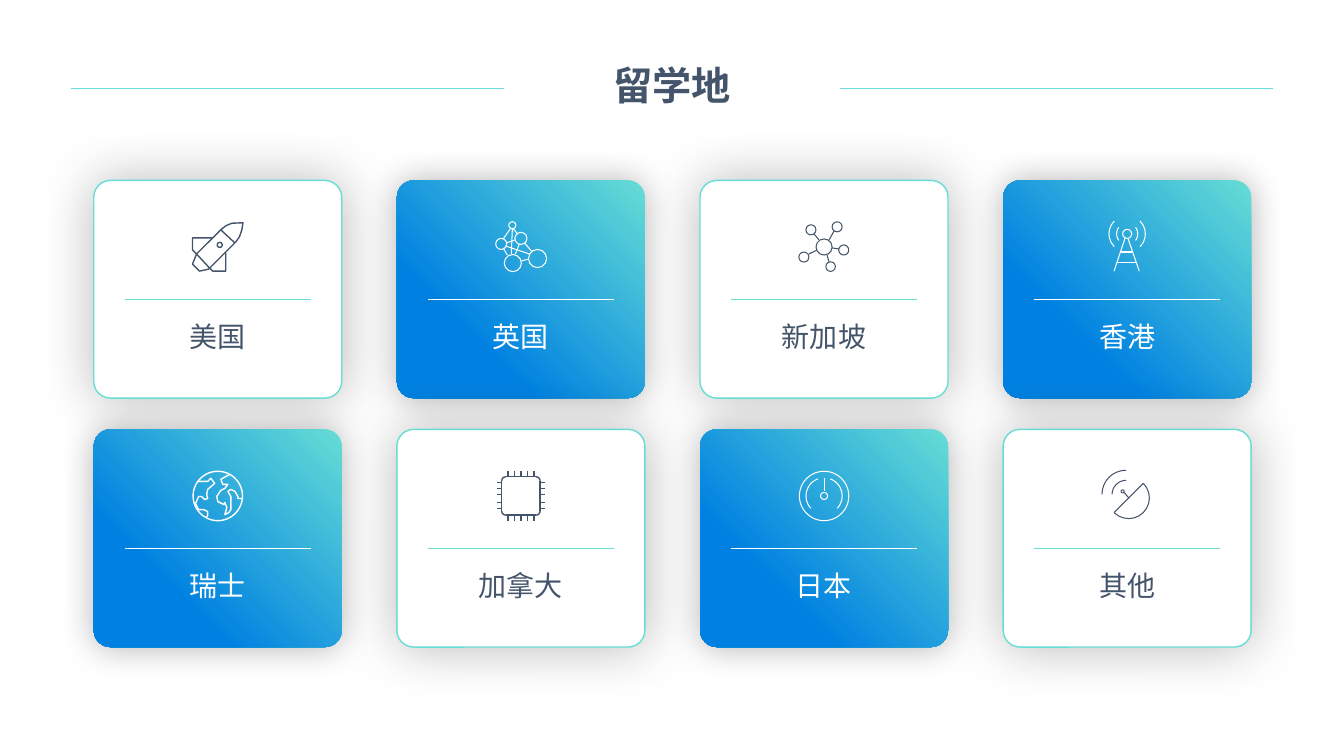
"""Build a slide of eight study destinations as a grid of icon cards."""
from math import cos, radians, sin

from lxml import etree
from pptx import Presentation
from pptx.dml.color import RGBColor
from pptx.enum.shapes import MSO_CONNECTOR, MSO_SHAPE
from pptx.enum.text import MSO_ANCHOR, MSO_AUTO_SIZE, PP_ALIGN
from pptx.oxml.ns import qn
from pptx.util import Inches, Pt

STRAIGHT = MSO_CONNECTOR.STRAIGHT
ROUNDED = MSO_SHAPE.ROUNDED_RECTANGLE
MIDDLE = MSO_ANCHOR.MIDDLE
GROW = MSO_AUTO_SIZE.SHAPE_TO_FIT_TEXT
CENTER = PP_ALIGN.CENTER

TEAL = RGBColor(0x66, 0xDD, 0xD5)
BLUE = RGBColor(0x00, 0x81, 0xE1)
SLATE = RGBColor(0x44, 0x54, 0x6A)
WHITE = RGBColor(0xFF, 0xFF, 0xFF)
FONT = "Noto Sans CJK SC"

COLUMNS = 4
GRID_LEFT, GRID_TOP = 0.93, 1.79
COLUMN_STEP = (9.95 - GRID_LEFT) / (COLUMNS - 1)
ROW_STEP = 2.47
CARD_WIDTH, CARD_HEIGHT = 2.46, 2.16
ICON_UNIT = Inches(0.01)
ARC_PIECES = 4


def arc(x, y, radius, start=0, end=360):
    """Return an arc's points, radius, start and sweep per piece, in clockwise degrees."""
    sweep = (end - start) / ARC_PIECES
    angles = [radians(start + sweep * piece) for piece in range(ARC_PIECES + 1)]
    points = [(x + radius * cos(angle), y + radius * sin(angle)) for angle in angles]
    return points, radius, start, sweep


def write(shape, text, size, color, bold=False):
    """Write one centred line of text in a text box or placeholder."""
    frame = shape.text_frame
    frame.word_wrap = True
    frame.auto_size = GROW
    frame.vertical_anchor = MIDDLE
    paragraph = frame.paragraphs[0]
    paragraph.alignment = CENTER
    run = paragraph.add_run()
    run.text = text
    run.font.size = Pt(size)
    run.font.bold = bold
    run.font.name = FONT
    run.font.color.rgb = color
    etree.SubElement(run.font._element, qn("a:ea"), typeface=FONT)


rocket = [
    [(25, -24), (24, -17), (21.5, -10), (18, -5), (-9, 22), (-18, 24), (-25, 17),
     (-21, 7), (3, -17), (8, -21), (14, -23.5), (25, -24)],
    [(3, -17), (17, -4)],
    [(-5, -9), (-25, -9), (-25, 3), (-21, 7), (-8, 21), (-5, 24), (8, 24), (8, 6)],
    arc(2, -2, 2.5),
]
molecule = [
    arc(-8.5, -21.5, 3.5), arc(-19.5, -3, 5.5), arc(-8, 16, 8.5),
    arc(0, -8.5, 6), arc(16.5, 11.5, 9),
    [(7.5, 12), (0.5, 14)], [(-14.5, -4), (-5.5, -7)], [(-5.5, 7), (-1.5, -3)],
    [(-13.5, 8), (-17.5, 1)], [(8.5, 7), (-15.5, -1)], [(-10.5, -18), (-17.5, -8)],
    [(10.5, 4), (3.5, -4)], [(-9.5, 7), (-8.5, -18)], [(-7.5, -18), (-3.5, -13)],
]
network = [
    arc(0, 0, 8), arc(13, -20, 5), arc(-13, -17, 5), arc(-20, 10, 5),
    arc(6.5, 19.5, 4.75), arc(19.5, 3, 5),
    [(10, -16), (5, -7)], [(-5, -7), (-10, -13)], [(-15, 7), (-7, 3)],
    [(5, 15), (3, 8)], [(8, 1), (15, 2)],
]
tower = [
    arc(0, -13, 4.5),
    [(-13, 24), (-2, -9)], [(12, 24), (1, -8)], [(-6, 5), (5, 5)], [(-10, 15), (9, 15)],
    arc(0, -13, 18, 135, 225), arc(0, -13, 18, -45, 45),
    arc(0, -13, 10.5, 142, 218), arc(0, -13, 10.5, -38, 38),
]
globe = [
    arc(0, 0, 24.5),
    [(-12, 21.5), (-10, 19.5), (-10, 15.5), (-14, 13.5), (-19, 13.5), (-22, 7.5),
     (-19, 0.5), (-16, 0.5), (-13, 3.5), (-10, 2.5), (-11, -1.5), (-10, -6.5),
     (-3, -12.5), (-7, -17.5), (-10, -14.5), (-20, -14.5)],
    [(12, -21.5), (3, -16.5), (5, -11.5), (10, -11.5), (7, -7.5), (3, -5.5),
     (-1, 0.5), (0, 5.5), (6, 8.5), (7, 6.5), (9, 11.5), (7, 18.5), (11, 16.5),
     (13, 13.5), (13, 0.5), (10, -4.5), (13, -6.5), (17, -4.5), (20, 0.5),
     (20, 2.5), (24, 2.5)],
]
chip = [arc(15, 15, 4, 0, 90), arc(-15, 15, 4, 90, 180),
        arc(-15, -15, 4, 180, 270), arc(15, -15, 4, 270, 360)]
for side in (-1, 1):
    chip += [[(-15, side * 19), (15, side * 19)], [(side * 19, -15), (side * 19, 15)]]
    chip += [[(pin, side * 19), (pin, side * 24.5)] for pin in (-13, -6.5, 0, 6.5, 13)]
    chip += [[(side * 19, pin), (side * 24, pin)] for pin in (-13.5, -7.5, -1.5, 6.5, 12.5)]
gauge = [
    arc(0, 0, 3.5), arc(0, 0, 24.5), arc(0, 0, 18, -70, 43), arc(0, 0, 18, 137, 250),
    [(0, -17.5), (0, -4.5)],
]
dish = [
    [(2, 2.5), (-3, -3.5)], arc(-4.5, -4.5, 1.5),
    arc(-1, -1.5, 14, 180, 270), arc(-1, -1.5, 24, 180, 270),
    arc(1.5, 2, 20.5, -45, 135), [(-13, 16.5), (16, -12.5)],
]
destinations = [
    ("美国", rocket, 1), ("英国", molecule, 0.75), ("新加坡", network, 0.75),
    ("香港", tower, 0.75), ("瑞士", globe, 1), ("加拿大", chip, 1),
    ("日本", gauge, 0.75), ("其他", dish, 0.75),
]

presentation = Presentation()
presentation.slide_width = Inches(13.33)
presentation.slide_height = Inches(7.5)
slide = presentation.slides.add_slide(presentation.slide_layouts[5])
shapes = slide.shapes

title = shapes.title
title.left, title.top, title.width, title.height = map(Inches, (5, 0.56, 3.33, 0.57))
write(title, "留学地", 28, SLATE, bold=True)

rules = [(0.7, 5, 0.88, TEAL, 0.5), (8.33, 12.63, 0.88, TEAL, 0.5)]

for index, (name, icon, icon_weight) in enumerate(destinations):
    row, column = divmod(index, COLUMNS)
    left = GRID_LEFT + column * COLUMN_STEP
    top = GRID_TOP + row * ROW_STEP
    is_blue = (row + column) % 2 == 1
    ink = WHITE if is_blue else SLATE

    card = shapes.add_shape(ROUNDED, Inches(left), Inches(top),
                            Inches(CARD_WIDTH), Inches(CARD_HEIGHT))
    card.adjustments[0] = 0.077
    if is_blue:
        card.fill.gradient()
        card.fill.gradient_angle = 225
        for stop, color, position in zip(card.fill.gradient_stops, (TEAL, BLUE), (0, 0.71)):
            stop.color.rgb = color
            stop.position = position
        card.line.fill.background()
    else:
        card.fill.solid()
        card.fill.fore_color.rgb = WHITE
        card.line.color.rgb = TEAL
        card.line.width = Pt(1)
    card.shadow.inherit = False
    effects = card._element.spPr.find(qn("a:effectLst"))
    blur, opacity = (25, 29) if is_blue else (40, 28)
    shadow = etree.SubElement(effects, qn("a:outerShdw"), blurRad=str(Pt(blur)),
                              dist="0", dir="0", algn="ctr", rotWithShape="0")
    shade = etree.SubElement(shadow, qn("a:srgbClr"), val="000000")
    etree.SubElement(shade, qn("a:alpha"), val=str(opacity * 1000))

    center_x = Inches(left + CARD_WIDTH / 2)
    center_y = Inches(top + 0.66)
    builder = None
    bends = []
    for stroke in icon:
        points, radius, start, sweep = stroke if isinstance(stroke, tuple) else (stroke, 0, 0, 0)
        places = [(center_x + x * ICON_UNIT, center_y + y * ICON_UNIT) for x, y in points]
        if builder is None:
            builder = shapes.build_freeform(*places[0])
        else:
            builder.move_to(*places[0])
        builder.add_line_segments(places[1:], close=False)
        bends += [(radius, start + sweep * piece, sweep) for piece in range(len(points) - 1)]
    drawing = builder.convert_to_shape()
    segments = list(drawing._element.spPr.iter(qn("a:lnTo")))
    for segment, (radius, start, sweep) in zip(segments, bends):
        if radius:
            size = str(round(radius * ICON_UNIT))
            curve = etree.Element(qn("a:arcTo"), wR=size, hR=size,
                                  stAng=str(round(start % 360 * 60000)),
                                  swAng=str(round(sweep * 60000)))
            segment.getparent().replace(segment, curve)
    drawing.fill.background()
    drawing.line.color.rgb = ink
    drawing.line.width = Pt(icon_weight)
    drawing.shadow.inherit = False

    rules.append((left + 0.31, left + 2.15, top + 1.18, WHITE if is_blue else TEAL, 1))
    label = shapes.add_textbox(Inches(left + 0.08), Inches(top + 1.33), Inches(2.3), Inches(0.44))
    write(label, name, 20, ink)

for start, end, height, color, weight in rules:
    rule = shapes.add_connector(STRAIGHT, Inches(start), Inches(height),
                                Inches(end), Inches(height))
    rule.line.color.rgb = color
    rule.line.width = Pt(weight)
    etree.SubElement(rule._element.spPr, qn("a:effectLst"))

presentation.save("out.pptx")
